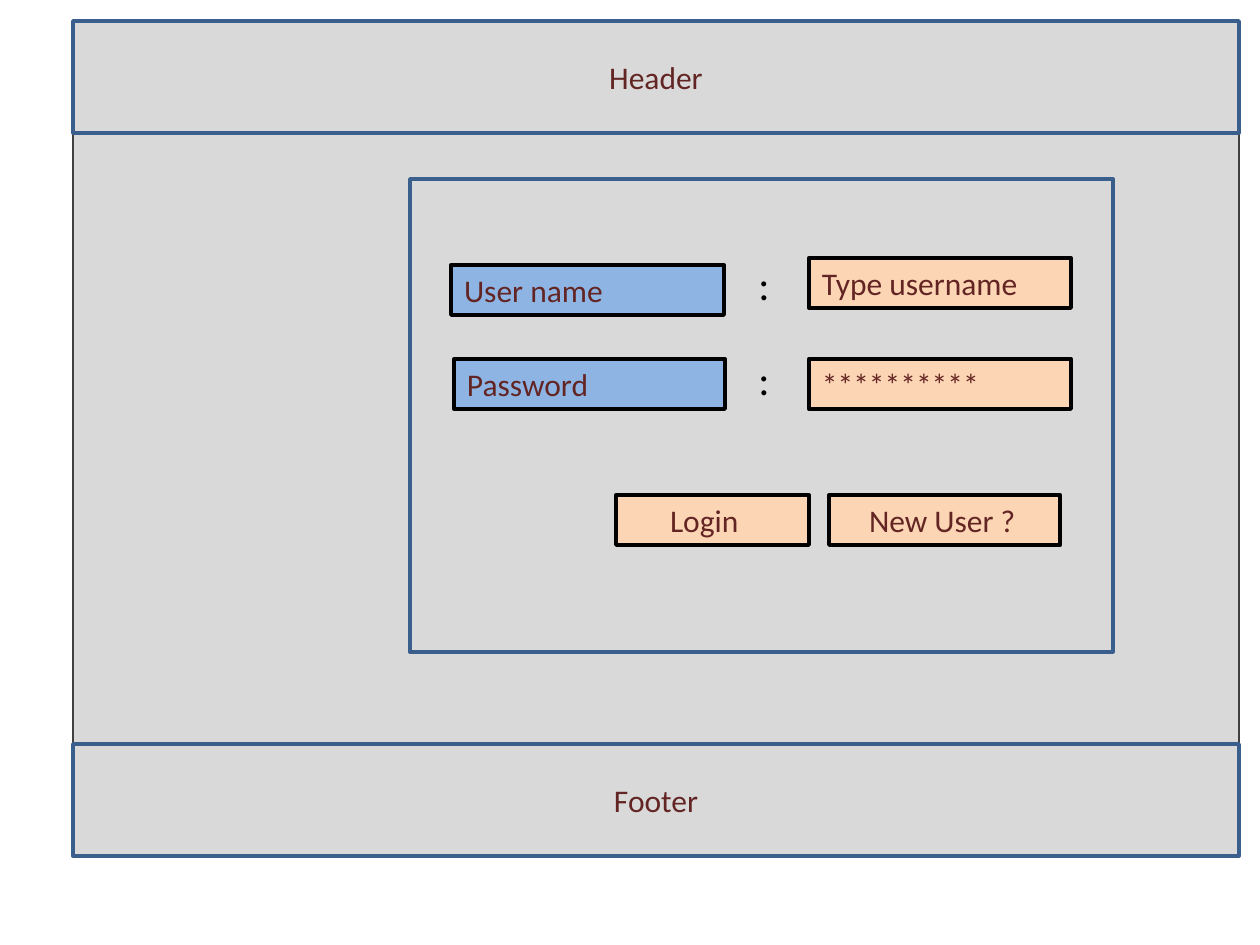
from pptx import Presentation
from pptx.dml.color import RGBColor
from pptx.enum.shapes import MSO_SHAPE
from pptx.enum.text import MSO_ANCHOR, MSO_AUTO_SIZE, PP_ALIGN
from pptx.util import Emu, Pt

RECTANGLE = MSO_SHAPE.RECTANGLE
TOP, MIDDLE = MSO_ANCHOR.TOP, MSO_ANCHOR.MIDDLE
LEFT, CENTER = PP_ALIGN.LEFT, PP_ALIGN.CENTER
GROW = MSO_AUTO_SIZE.SHAPE_TO_FIT_TEXT

PIXEL = 914400 / 126
FONT = "Calibri"
INSET = 13
FIELD_HEIGHT = 50

GRAY = RGBColor(0xD9, 0xD9, 0xD9)
DARK_GRAY = RGBColor(0x40, 0x40, 0x40)
BORDER_BLUE = RGBColor(0x3A, 0x5F, 0x8C)
LABEL_BLUE = RGBColor(0x8E, 0xB4, 0xE3)
PEACH = RGBColor(0xFC, 0xD5, 0xB5)
MAROON = RGBColor(0x63, 0x25, 0x23)
BLACK = RGBColor(0, 0, 0)


def px(length):
    return Emu(round(length * PIXEL))


def write(shape, text, size, color, align=LEFT, anchor=TOP):
    frame = shape.text_frame
    frame.text = text
    frame.word_wrap = True
    frame.vertical_anchor = anchor
    paragraph = frame.paragraphs[0]
    paragraph.alignment = align
    font = paragraph.runs[0].font
    font.name, font.size = FONT, Pt(size)
    font.color.rgb = color


def add_box(slide, box, fill, line, width):
    shape = slide.shapes.add_shape(RECTANGLE, *map(px, box))
    shape.shadow.inherit = False
    if fill is None:
        shape.fill.background()
    else:
        shape.fill.solid()
        shape.fill.fore_color.rgb = fill
    shape.line.color.rgb = line
    shape.line.width = Pt(width)
    return shape


def add_band(slide, box, text):
    """Full-width band with a centred title."""
    band = add_box(slide, box, GRAY, BORDER_BLUE, 2)
    write(band, text, 18, MAROON, CENTER, MIDDLE)


def add_field(slide, left, top, width, text, fill, indent=0):
    """Black-edged box for labels, inputs and buttons."""
    field = add_box(slide, (left, top, width, FIELD_HEIGHT), fill, BLACK, 2.25)
    write(field, text, 18, MAROON)
    field.text_frame.margin_left = px(INSET + indent)
    field.text_frame.auto_size = GROW


def add_colon(slide, left, top):
    colon = slide.shapes.add_textbox(px(left), px(top), px(47), px(63))
    write(colon, ":", 24, BLACK)
    colon.text_frame.auto_size = GROW


def add_login_form(slide, box):
    left, top = box[:2]

    # Rows: label, its left, top and width; input text and top; colon top
    rows = [
        ("User name", 41, 86, 273, "Type username", 79, 73),
        ("Password", 44, 180, 271, "**********", 180, 168),
    ]
    for label, label_left, label_top, label_width, value, value_top, colon_top in rows:
        add_field(slide, left + label_left, top + label_top, label_width, label, LABEL_BLUE)
        add_field(slide, left + 399, top + value_top, 262, value, PEACH)
        add_colon(slide, left + 336, top + colon_top)

    # Buttons
    for text, button_left, width, indent in [("Login", 206, 193, 41), ("New User ?", 419, 231, 27)]:
        add_field(slide, left + button_left, top + 316, width, text, PEACH, indent)

    # Frame
    add_box(slide, box, None, BORDER_BLUE, 2)


def add_page(slide, box):
    left, top, width, height = box
    band_height = 112

    # Body
    add_box(slide, (left, top + 111, width, height - 113), GRAY, DARK_GRAY, 1)

    # Header and footer
    add_band(slide, (left, top, width, band_height), "Header")
    add_band(slide, (left, top + height - band_height, width, band_height), "Footer")

    # Login form
    add_login_form(slide, (left + 337, top + 158, 703, 473))


presentation = Presentation()
presentation.slide_width, presentation.slide_height = px(1260), px(945)
slide = presentation.slides.add_slide(presentation.slide_layouts[6])
add_page(slide, (73, 21, 1166, 835))
presentation.save("out.pptx")
